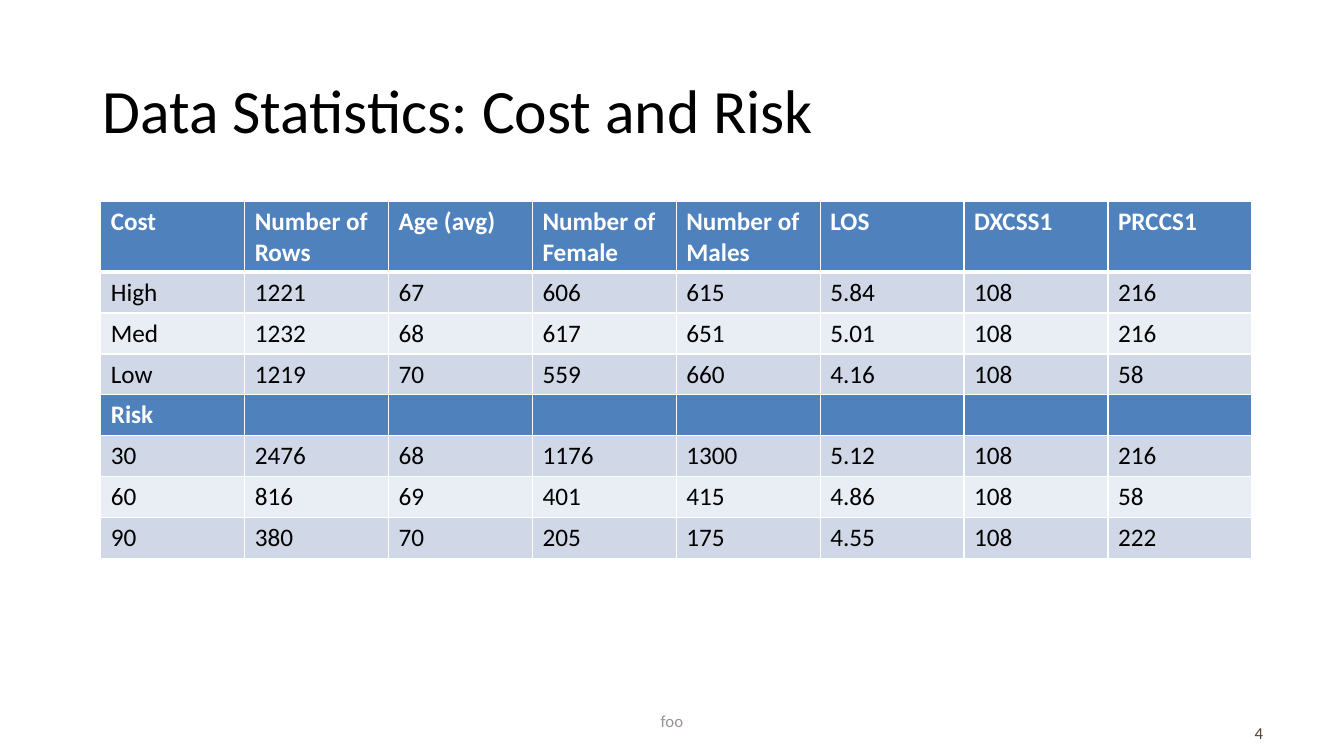
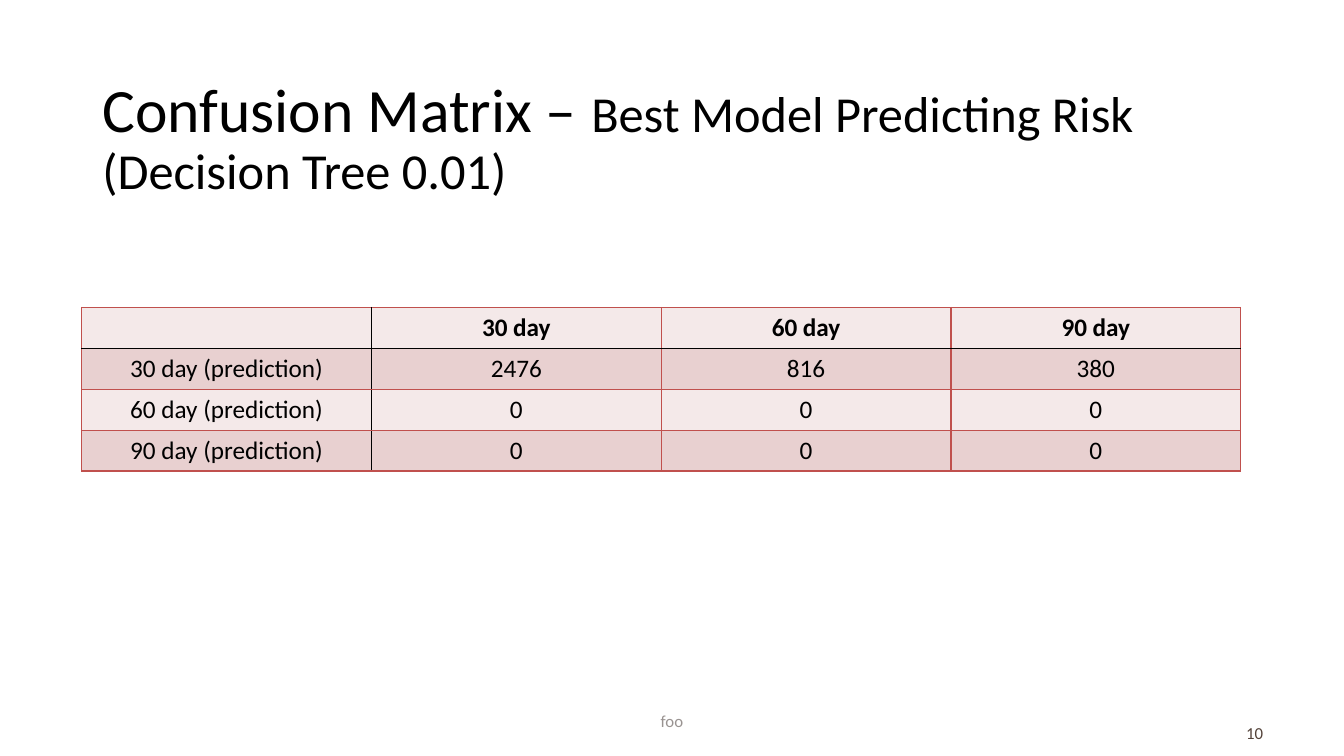
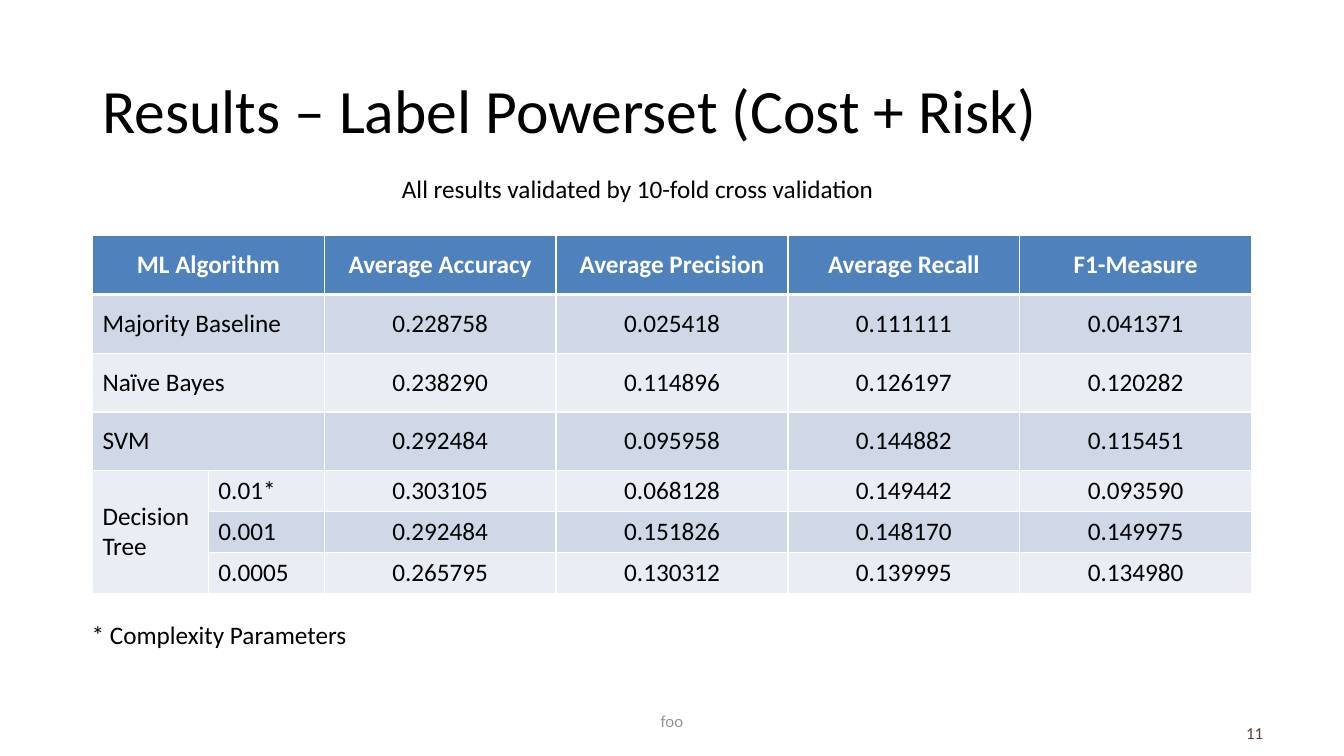
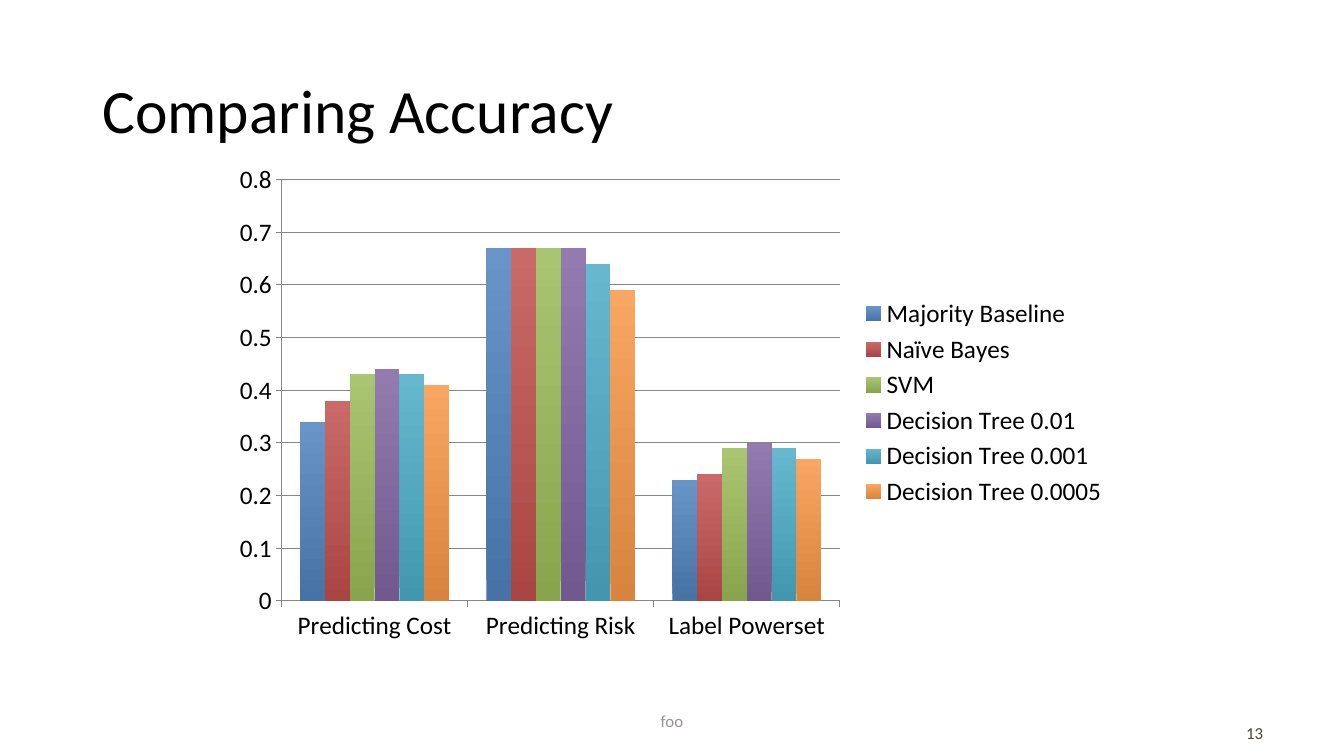
from dataclasses import dataclass

from lxml import etree
from pptx import Presentation
from pptx.chart import data as cd
from pptx.dml.color import RGBColor
from pptx.enum import chart as ch, text as tx
from pptx.oxml import ns
from pptx.util import Cm, Pt


@dataclass(frozen=True)
class Theme:
    font: str = "Calibri"
    ink: str = "000000"
    white: str = "FFFFFF"
    blue: str = "4F81BD"
    red: str = "C0504D"
    blues: tuple = ("E9EDF4", "D0D8E8")
    reds: tuple = ("F4E9E9", "E8D0D0")
    foot: str = "999391"
    page: str = "534239"
    axis: str = "878787"
    bars: tuple = ("4F81BD", "C0504D", "9BBB59", "8064A2", "4BACC6", "F79646")
    title: int = 44
    sub: int = 36
    body: int = 18
    small: int = 12


T = Theme()
LEFT, MID, RIGHT = tx.PP_ALIGN.LEFT, tx.PP_ALIGN.CENTER, tx.PP_ALIGN.RIGHT
TOP, HALF = tx.MSO_ANCHOR.TOP, tx.MSO_ANCHOR.MIDDLE

# Table styles: band fills, grid colour, header fill and text, header rule, rule after first column
BLUE = dict(bands=T.blues, grid=T.white, head=T.blue, label=T.white,
            rule=(T.white, 3), side=(T.white, 1))
RED = dict(bands=T.reds, grid=T.red, head=T.reds[0], label=T.ink,
           rule=(T.ink, 1), side=(T.ink, 1))

# In table rows, None continues the cell to the left, or above in the first column.
SLIDES = [
    dict(page=4, title=[("Data Statistics: Cost and Risk", T.title)],
         table=dict(
             at=(2.54, 5.08), width=29.01, units=[1] * 8, style=BLUE,
             heights=[1.77] + [1.03] * 7, heads=(0, 4), left=8, anchor=TOP,
             rows=[
                 ["Cost", "Number of Rows", "Age (avg)", "Number of Female",
                  "Number of Males", "LOS", "DXCSS1", "PRCCS1"],
                 ["High", "1221", "67", "606", "615", "5.84", "108", "216"],
                 ["Med", "1232", "68", "617", "651", "5.01", "108", "216"],
                 ["Low", "1219", "70", "559", "660", "4.16", "108", "58"],
                 ["Risk"] + [""] * 7,
                 ["30", "2476", "68", "1176", "1300", "5.12", "108", "216"],
                 ["60", "816", "69", "401", "415", "4.86", "108", "58"],
                 ["90", "380", "70", "205", "175", "4.55", "108", "222"],
             ])),
    dict(page=10, top=1.68,
         title=[("Confusion Matrix – ", T.title),
                ("Best Model Predicting Risk (Decision Tree 0.01)", T.sub)],
         table=dict(
             at=(2.06, 7.75), width=29.21, units=[1] * 4, style=RED,
             heights=[1.03] * 4, heads=(0,), left=0, anchor=TOP,
             rows=[
                 ["", "30 day", "60 day", "90 day"],
                 ["30 day (prediction)", "2476", "816", "380"],
                 ["60 day (prediction)", "0", "0", "0"],
                 ["90 day (prediction)", "0", "0", "0"],
             ])),
    dict(page=11, title=[("Results – Label Powerset (Cost + Risk)", T.title)],
         table=dict(
             at=(2.33, 5.94), width=29.21, units=[1, 1, 2, 2, 2, 2], style=BLUE,
             heights=[1.48] * 4 + [1.03] * 3, heads=(0,), left=2, anchor=HALF,
             rows=[
                 ["ML Algorithm", None, "Average Accuracy", "Average Precision",
                  "Average Recall", "F1-Measure"],
                 ["Majority Baseline", None, "0.228758", "0.025418", "0.111111", "0.041371"],
                 ["Naïve Bayes", None, "0.238290", "0.114896", "0.126197", "0.120282"],
                 ["SVM", None, "0.292484", "0.095958", "0.144882", "0.115451"],
                 ["Decision Tree", "0.01*", "0.303105", "0.068128", "0.149442", "0.093590"],
                 [None, "0.001", "0.292484", "0.151826", "0.148170", "0.149975"],
                 [None, "0.0005", "0.265795", "0.130312", "0.139995", "0.134980"],
             ]),
         notes=[("* Complexity Parameters", (2.06, 15.49, 16.21, 1.03)),
                ("All results validated by 10-fold cross validation",
                 (9.88, 4.24, 22.2, 1.03))]),
    dict(page=13, title=[("Comparing Accuracy", T.title)],
         chart=dict(
             at=(5.59, 3.89, 22.58, 12.52),
             cats=["Predicting Cost", "Predicting Risk", "Label Powerset"],
             series=[
                 ("Majority Baseline", (0.34, 0.67, 0.23)),
                 ("Naïve Bayes", (0.38, 0.67, 0.24)),
                 ("SVM", (0.43, 0.67, 0.29)),
                 ("Decision Tree 0.01", (0.44, 0.67, 0.3)),
                 ("Decision Tree 0.001", (0.43, 0.64, 0.29)),
                 ("Decision Tree 0.0005", (0.41, 0.59, 0.27)),
             ])),
]


def rgb(code):
    return RGBColor.from_string(code)


def blend(code, goal, part):
    """Move a colour part of the way towards a goal colour."""
    pairs = zip(rgb(code), rgb(goal))
    return RGBColor(*(round(a + (b - a) * part) for a, b in pairs))


def put(obj, **vals):
    for key, val in vals.items():
        setattr(obj, key, val)


def style(font, size, color, bold=False):
    put(font, name=T.font, size=Pt(size), bold=bold)
    font.color.rgb = rgb(color)


def write(slide, runs, at, color=T.ink, align=LEFT, anchor=HALF, gap=None):
    frame = slide.shapes.add_textbox(*map(Cm, at)).text_frame
    put(frame, word_wrap=True, vertical_anchor=anchor)
    para = frame.paragraphs[0]
    put(para, alignment=align, line_spacing=gap)
    for words, size in runs:
        run = para.add_run()
        run.text = words
        style(run.font, size, color)


def edge(cell, sides):
    """Draw cell borders; sides maps L, R, T, B to (colour, points)."""
    props = cell._tc.get_or_add_tcPr()
    for i, (side, (color, width)) in enumerate(sides.items()):
        line = etree.Element(ns.qn("a:ln" + side), w=str(Pt(width)))
        fill = etree.SubElement(line, ns.qn("a:solidFill"))
        etree.SubElement(fill, ns.qn("a:srgbClr"), val=color)
        props.insert(i, line)


def add_table(slide, at, width, units, style, heights, heads, left, anchor, rows):
    look = style
    count = len(units)
    shape = slide.shapes.add_table(len(rows), count, *map(Cm, (*at, width, sum(heights))))
    table = shape.table
    put(table, first_row=False, horz_banding=False)
    for col, unit in zip(table.columns, units):
        col.width = Cm(width * unit / sum(units))
    for row, height in zip(table.rows, heights):
        row.height = Cm(height)
    thin = (look["grid"], 1)
    for r, row in enumerate(rows):
        for c, words in enumerate(row):
            cell = table.cell(r, c)
            head = r in heads
            cell.fill.solid()
            cell.fill.fore_color.rgb = rgb(look["head"] if head else look["bands"][r % 2])
            edge(cell, dict(
                L=look["side"] if c == 1 else thin,
                R=look["side"] if c == 0 else thin,
                T=look["rule"] if r == 1 else thin,
                B=look["rule"] if r == 0 else thin))
            cell.vertical_anchor = anchor
            if words:
                fill_cell(cell, words, look["label"] if head else T.ink, head,
                          MID if c >= left or (head and left < count) else LEFT)
    join(table, rows)


def fill_cell(cell, words, color, bold, align):
    para = cell.text_frame.paragraphs[0]
    para.alignment = align
    run = para.add_run()
    run.text = words
    style(run.font, T.body, color, bold)


def join(table, rows):
    """Merge each cell with the None cells that continue it."""
    for r, row in enumerate(rows):
        for c, words in enumerate(row):
            if words is None:
                continue
            down, last = r, c
            while last + 1 < len(row) and row[last + 1] is None:
                last += 1
            while c == 0 and down + 1 < len(rows) and rows[down + 1][0] is None:
                down += 1
            if (down, last) != (r, c):
                table.cell(r, c).merge(table.cell(down, last))


def add_chart(slide, at, cats, series):
    data = cd.CategoryChartData()
    data.categories = cats
    for name, vals in series:
        data.add_series(name, vals)
    kind = ch.XL_CHART_TYPE.COLUMN_CLUSTERED
    chart = slide.shapes.add_chart(kind, *map(Cm, at), data).chart
    style(chart.font, T.body, T.ink)
    put(chart, has_title=False, has_legend=True)
    put(chart.legend, position=ch.XL_LEGEND_POSITION.RIGHT, include_in_layout=False)
    plot = chart.plots[0]
    put(plot, gap_width=150, overlap=0, vary_by_categories=False)
    for bar, color in zip(plot.series, T.bars):
        fill = bar.format.fill
        fill.gradient()
        fill.gradient_angle = 90
        low, high = fill.gradient_stops
        low.color.rgb = blend(color, T.ink, 0.12)
        high.color.rgb = blend(color, T.white, 0.15)
    grid = chart.value_axis
    put(grid, minimum_scale=0, maximum_scale=0.8, major_unit=0.1, has_major_gridlines=True)
    put(grid.tick_labels, number_format="General", number_format_is_linked=False)
    for axis in (grid, chart.category_axis):
        axis.major_tick_mark = ch.XL_TICK_MARK.OUTSIDE
    for part in (grid, chart.category_axis, grid.major_gridlines):
        part.format.line.width = Pt(0.75)
        part.format.line.color.rgb = rgb(T.axis)


def main():
    deck = Presentation()
    put(deck, slide_width=Cm(33.87), slide_height=Cm(19.05))
    for item in SLIDES:
        slide = deck.slides.add_slide(deck.slide_layouts[6])
        write(slide, item["title"], (2.33, item.get("top", 1.02), 29.21, 3.68), gap=0.9)
        if "table" in item:
            add_table(slide, **item["table"])
        if "chart" in item:
            add_chart(slide, **item["chart"])
        write(slide, [("foo", T.small)], (11.22, 17.66, 11.43, 1.01), T.foot, MID)
        write(slide, [(str(item["page"]), T.small)], (24.46, 17.95, 7.62, 1.01), T.page, RIGHT)
        for words, at in item.get("notes", []):
            write(slide, [(words, T.body)], at, anchor=TOP)
    deck.save("out.pptx")


if __name__ == "__main__":
    main()
